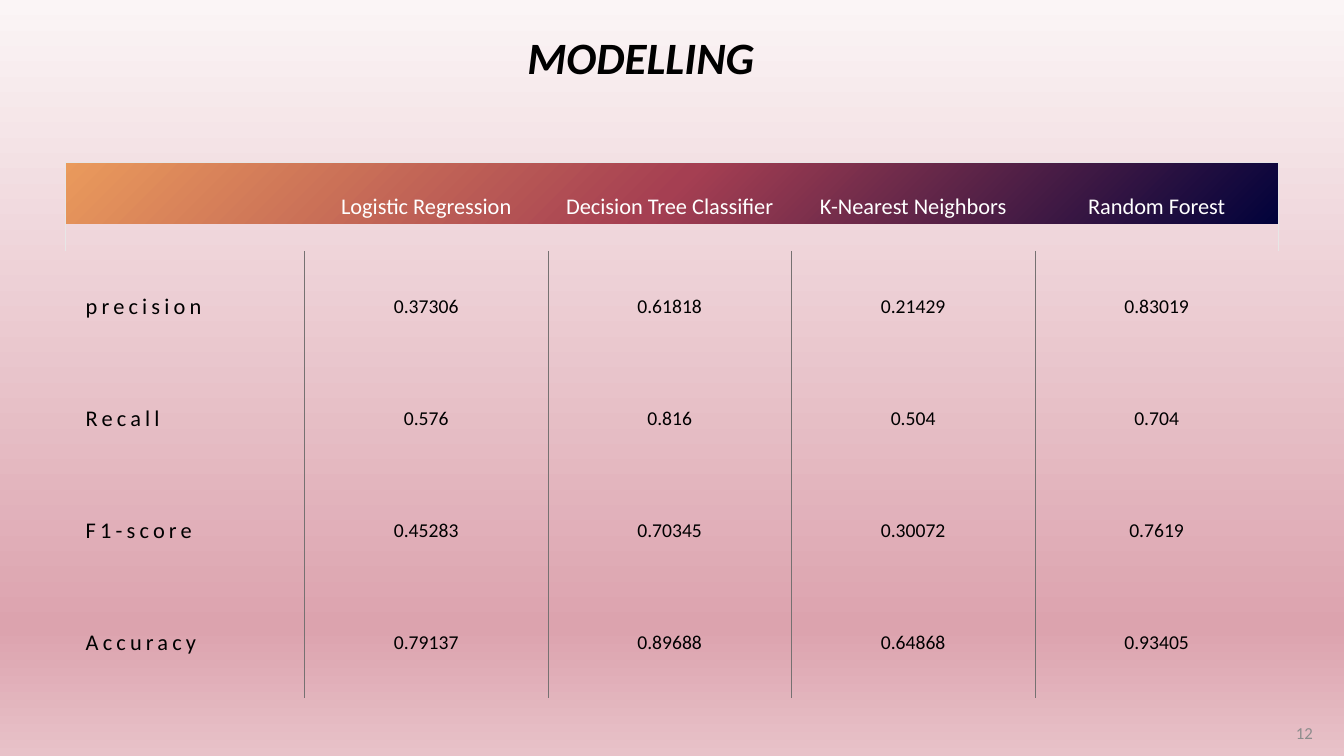
from pptx import Presentation
from pptx.dml.color import RGBColor
from pptx.enum.shapes import MSO_SHAPE
from pptx.enum.text import MSO_ANCHOR, PP_ALIGN
from pptx.oxml import parse_xml
from pptx.oxml.ns import nsdecls, qn
from pptx.util import Inches, Pt

BLACK = RGBColor(0x00, 0x00, 0x00)
WHITE = RGBColor(0xFF, 0xFF, 0xFF)
NUMBER_GREY = RGBColor(0x8C, 0x8C, 0x8C)
RULE_GREY = RGBColor(0x76, 0x71, 0x71)
FRAME_GREY = RGBColor(0xE7, 0xE6, 0xE6)
BACKGROUND_STOPS = [(0, RGBColor(0xFB, 0xF5, 0xF6)), (83, RGBColor(0xDC, 0xA3, 0xAE)),
                    (100, RGBColor(0xE8, 0xC2, 0xC9))]
BAND_STOPS = [(0, RGBColor(0x01, 0x02, 0x3B)), (50, RGBColor(0xA5, 0x3F, 0x52)),
              (100, RGBColor(0xEA, 0x9A, 0x5C))]
DOWNWARD = '<a:lin ang="5400000" scaled="0"/>'
FROM_BOTTOM_RIGHT = '<a:path path="circle"><a:fillToRect l="100000" t="100000"/></a:path>'
NO_TABLE_STYLE = "{2D5ABB26-0587-4C30-8999-92F81FD0307C}"

TITLE_FONT = dict(size=Pt(32), bold=True, italic=True, color=BLACK)
HEADER_FONT = dict(size=Pt(16), color=WHITE)
METRIC_FONT = dict(size=Pt(16), color=BLACK)
SCORE_FONT = dict(size=Pt(14), color=BLACK)
NUMBER_FONT = dict(size=Pt(12), color=NUMBER_GREY)

MODELS = ["", "Logistic Regression", "Decision Tree Classifier",
          "K-Nearest Neighbors", "Random Forest"]
SCORES = [
    ["precision", "0.37306", "0.61818", "0.21429", "0.83019"],
    ["Recall", "0.576", "0.816", "0.504", "0.704"],
    ["F1-score", "0.45283", "0.70345", "0.30072", "0.7619"],
    ["Accuracy", "0.79137", "0.89688", "0.64868", "0.93405"],
]


def write_text(text_frame, text, font_format, alignment=PP_ALIGN.LEFT):
    paragraph = text_frame.paragraphs[0]
    paragraph.alignment = alignment
    run = paragraph.add_run()
    run.text = text
    run.font.name = "Calibri"
    for name, value in font_format.items():
        if name == "color":
            run.font.color.rgb = value
        else:
            setattr(run.font, name, value)
    return run


def set_gradient(fill, owner, stops, direction):
    fill.gradient()
    gradient = next(owner.iter(qn("a:gradFill")))
    stop_xml = "".join(f'<a:gs pos="{position * 1000}"><a:srgbClr val="{color}"/></a:gs>'
                       for position, color in stops)
    gradient.getparent().replace(gradient, parse_xml(
        f'<a:gradFill {nsdecls("a")} rotWithShape="1">'
        f'<a:gsLst>{stop_xml}</a:gsLst>{direction}</a:gradFill>'))


def set_borders(cell, borders):
    """Draw the given sides, in L, R, T, B order, and clear the others."""
    properties = cell._tc.get_or_add_tcPr()
    for index, side in enumerate("LRTB"):
        color, width = borders.get(side, (None, 0))
        paint = (f'<a:solidFill><a:srgbClr val="{color}"/></a:solidFill>'
                 if color else "<a:noFill/>")
        properties.insert(index, parse_xml(
            f'<a:ln{side} {nsdecls("a")} w="{Pt(width)}">{paint}</a:ln{side}>'))


def cell_borders(row, column, last_column):
    if row == 0:
        borders = {"T": (FRAME_GREY, 0.5)}
        if column == 0:
            borders["L"] = (FRAME_GREY, 0.5)
        if column == last_column:
            borders["R"] = (FRAME_GREY, 0.5)
        return borders
    borders = {}
    if column > 0:
        borders["L"] = (RULE_GREY, 0.25)
    if column < last_column:
        borders["R"] = (RULE_GREY, 0.25)
    return borders


def add_title(slide, left, top, width, height):
    title = slide.shapes.title
    title.left, title.top, title.width, title.height = left, top, width, height
    title.text_frame.vertical_anchor = MSO_ANCHOR.TOP
    write_text(title.text_frame, "MODELLING", TITLE_FONT)


def add_header_band(slide, left, top, width, height):
    band = slide.shapes.add_shape(MSO_SHAPE.RECTANGLE, left, top, width, height)
    band.shadow.inherit = False
    band.line.fill.background()
    set_gradient(band.fill, band.element, BAND_STOPS, FROM_BOTTOM_RIGHT)


def add_score_table(slide, left, top, width, height):
    rows = [MODELS] + SCORES
    frame = slide.shapes.add_table(len(rows), len(MODELS), left, top, width, height)
    table = frame.table
    table.first_row = table.horz_banding = False
    next(frame.element.iter(qn("a:tableStyleId"))).text = NO_TABLE_STYLE

    # The first column and the header row have their own size; the rest share evenly
    metric_width, header_height = Inches(2.37), Inches(0.88)
    for index, column in enumerate(table.columns):
        column.width = (width - metric_width) // len(MODELS[1:]) if index else metric_width
    for index, row in enumerate(table.rows):
        row.height = (height - header_height) // len(SCORES) if index else header_height

    for row_index, values in enumerate(rows):
        for column_index, value in enumerate(values):
            cell = table.cell(row_index, column_index)
            cell.vertical_anchor = MSO_ANCHOR.MIDDLE
            cell.fill.background()
            set_borders(cell, cell_borders(row_index, column_index, len(values) - 1))
            if row_index and column_index == 0:
                cell.margin_left = Inches(0.2)
                run = write_text(cell.text_frame, value, METRIC_FONT)
                run._r.get_or_add_rPr().set("spc", "300")
            elif value:
                font_format = SCORE_FONT if row_index else HEADER_FONT
                write_text(cell.text_frame, value, font_format, PP_ALIGN.CENTER)


def add_page_number(slide, left, top, width, height):
    text_frame = slide.shapes.add_textbox(left, top, width, height).text_frame
    text_frame.word_wrap = True
    text_frame.vertical_anchor = MSO_ANCHOR.MIDDLE
    write_text(text_frame, "12", NUMBER_FONT, PP_ALIGN.RIGHT)


def build_modelling_slide(presentation):
    slide = presentation.slides.add_slide(presentation.slide_layouts[5])
    set_gradient(slide.background.fill, slide.element, BACKGROUND_STOPS, DOWNWARD)
    left, top, width = Inches(0.65), Inches(1.61), Inches(12.03)
    add_title(slide, Inches(5.13), Inches(0.24), Inches(3.24), Inches(0.64))
    add_header_band(slide, left, top, width, Inches(0.61))
    add_score_table(slide, left, top, width, Inches(5.32))
    add_page_number(slide, Inches(12.63), Inches(7.07), Inches(0.49), Inches(0.4))


presentation = Presentation()
presentation.slide_width, presentation.slide_height = Inches(13.33), Inches(7.5)
build_modelling_slide(presentation)
presentation.save("out.pptx")
